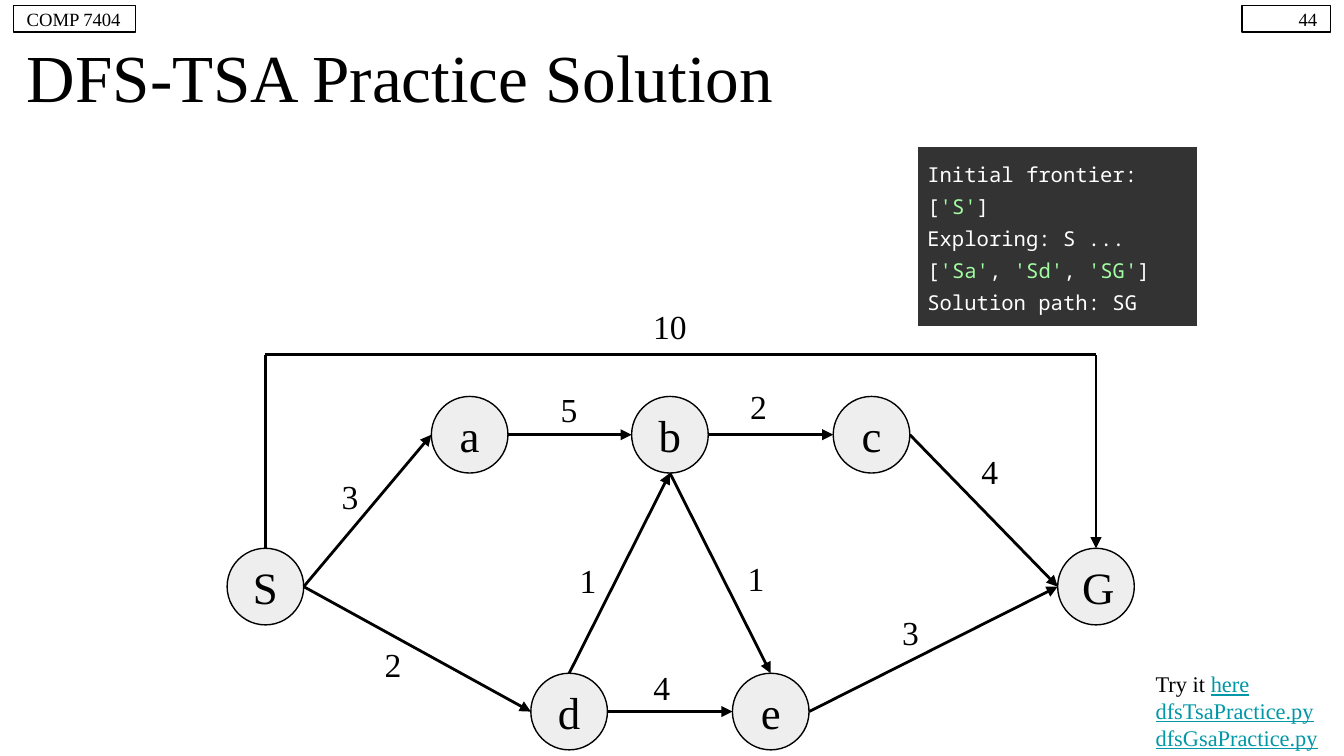
from dataclasses import dataclass
from enum import Enum
from itertools import pairwise

from lxml.etree import SubElement
from pptx import Presentation
from pptx.dml.color import RGBColor
from pptx.enum.shapes import MSO_CONNECTOR, MSO_SHAPE
from pptx.enum.text import MSO_ANCHOR, MSO_AUTO_SIZE, PP_ALIGN
from pptx.oxml.ns import qn
from pptx.util import Inches, Pt


@dataclass(frozen=True)
class Theme:
    serif: str = "Times New Roman"
    mono: str = "Noto Sans Mono"
    ink: str = "000000"
    node: str = "EEEEEE"
    link: str = "0097A7"
    console: str = "333333"
    console_text: str = "FFFFFF"
    console_string: str = "A2FCA2"
    title_size: float = 36
    node_size: float = 24
    weight_size: float = 18
    link_size: float = 12
    console_size: float = 11
    header_size: float = 10
    outline: float = 0.75
    edge: float = 1.5


class Side(Enum):
    TOP = (0.5, 0)
    LEFT = (0, 0.5)
    BOTTOM = (0.5, 1)
    RIGHT = (1, 0.5)


@dataclass(frozen=True)
class Node:
    name: str
    left: float
    top: float

    def port(self, side: Side) -> tuple[float, float]:
        """Return the point in the middle of one side."""
        across, down = side.value
        return self.left + across * DIAMETER, self.top + down * DIAMETER


@dataclass(frozen=True)
class Edge:
    start: str
    start_side: Side
    end: str
    end_side: Side
    weight: str
    label_left: float
    label_top: float
    bends: tuple = ()


THEME = Theme()
DIAMETER = 0.57
UPPER, MIDDLE, LOWER = 2.95, 4.08, 5.01
DETOUR = 2.64

NODES = {node.name: node for node in (
    Node("S", 1.69, MIDDLE), Node("G", 7.87, MIDDLE),
    Node("a", 3.21, UPPER), Node("b", 4.7, UPPER), Node("c", 6.2, UPPER),
    Node("d", 3.95, LOWER), Node("e", 5.45, LOWER),
)}

EDGES = (
    Edge("S", Side.RIGHT, "a", Side.LEFT, "3", 2.32, 3.41),
    Edge("S", Side.RIGHT, "d", Side.LEFT, "2", 2.64, 4.66),
    Edge("S", Side.TOP, "G", Side.TOP, "10", 4.7, 2.14,
         tuple((NODES[name].port(Side.TOP)[0], DETOUR) for name in "SG")),
    Edge("a", Side.RIGHT, "b", Side.LEFT, "5", 3.95, 2.76),
    Edge("b", Side.RIGHT, "c", Side.LEFT, "2", 5.36, 2.74),
    Edge("c", Side.RIGHT, "G", Side.LEFT, "4", 7.08, 3.22),
    Edge("d", Side.TOP, "b", Side.BOTTOM, "1", 4.09, 4.03),
    Edge("b", Side.BOTTOM, "e", Side.TOP, "1", 5.34, 4.02),
    Edge("d", Side.RIGHT, "e", Side.LEFT, "4", 4.64, 4.83),
    Edge("e", Side.RIGHT, "G", Side.LEFT, "3", 6.49, 4.42),
)

CONSOLE_OUTPUT = """Initial frontier: ['S']
Exploring: S ...
['Sa', 'Sd', 'SG']
Solution path: SG"""


def rgb(color: str) -> RGBColor:
    """Turn a hex string into a colour."""
    return RGBColor.from_string(color)


def write(paragraph, text: str, *, size: float, color: str = THEME.ink,
          font: str = THEME.serif, underline: bool = False, align=PP_ALIGN.LEFT) -> None:
    """Append formatted text to a paragraph, with a line break at each newline."""
    paragraph.alignment = align
    for index, line in enumerate(text.split("\n")):
        if index:
            paragraph.add_line_break()
            SubElement(paragraph._p[-1], qn("a:rPr"), sz=str(int(size * 100)))
        if line:
            run = paragraph.add_run()
            run.text = line
            run.font.size = Pt(size)
            run.font.name = font
            run.font.underline = underline or None
            run.font.color.rgb = rgb(color)


def set_frame(shape):
    """Give a shape's text even insets and middle anchoring, and return its frame."""
    frame = shape.text_frame
    frame.word_wrap = True
    frame.auto_size = MSO_AUTO_SIZE.NONE
    frame.vertical_anchor = MSO_ANCHOR.MIDDLE
    frame.margin_left = frame.margin_right = Inches(0.1)
    frame.margin_top = frame.margin_bottom = Inches(0.1)
    return frame


def add_text(slide, left: float, top: float, width: float, height: float):
    """Add an empty text box and return its frame."""
    return set_frame(slide.shapes.add_textbox(
        Inches(left), Inches(top), Inches(width), Inches(height)))


def add_outlined(slide, kind, left: float, top: float, width: float, height: float,
                 text: str, *, size: float, align, fill: str | None = None) -> None:
    """Draw an outlined shape with one line of text."""
    shape = slide.shapes.add_shape(
        kind, Inches(left), Inches(top), Inches(width), Inches(height))
    shape.shadow.inherit = False
    if fill:
        shape.fill.solid()
        shape.fill.fore_color.rgb = rgb(fill)
    else:
        shape.fill.background()
    shape.line.color.rgb = rgb(THEME.ink)
    shape.line.width = Pt(THEME.outline)
    write(set_frame(shape).paragraphs[0], text, size=size, align=align)


def add_edge(slide, edge: Edge) -> None:
    """Draw an edge through its bends, with an arrowhead and a weight."""
    route = (NODES[edge.start].port(edge.start_side), *edge.bends,
             NODES[edge.end].port(edge.end_side))
    for begin, end in pairwise(route):
        segment = slide.shapes.add_connector(
            MSO_CONNECTOR.STRAIGHT, *map(Inches, begin + end))
        segment.line.color.rgb = rgb(THEME.ink)
        segment.line.width = Pt(THEME.edge)
        if end == route[-1]:
            SubElement(segment.line._get_or_add_ln(), qn("a:tailEnd"), type="triangle")
        SubElement(segment._element.spPr, qn("a:effectLst"))
    label = add_text(slide, edge.label_left, edge.label_top, DIAMETER, DIAMETER)
    write(label.paragraphs[0], edge.weight, size=THEME.weight_size, align=PP_ALIGN.CENTER)


def add_console(slide, left: float, top: float, width: float, height: float) -> None:
    """Draw the program output as a dark one-cell table with coloured strings."""
    table = slide.shapes.add_table(
        1, 1, Inches(left), Inches(top), Inches(width), Inches(height)).table
    table.first_row = table.horz_banding = False
    cell = table.cell(0, 0)
    cell.margin_left = cell.margin_right = Inches(0.07)
    cell.margin_top = cell.margin_bottom = Inches(0.07)
    for border in ("a:lnL", "a:lnR", "a:lnT", "a:lnB"):
        SubElement(SubElement(cell._tc.get_or_add_tcPr(), qn(border)), qn("a:noFill"))
    cell.fill.solid()
    cell.fill.fore_color.rgb = rgb(THEME.console)
    output = cell.text_frame.paragraphs[0]
    output.line_spacing = 1.15
    for index, piece in enumerate(CONSOLE_OUTPUT.split("'")):
        quoted = index % 2 == 1
        write(output, f"'{piece}'" if quoted else piece,
              size=THEME.console_size, font=THEME.mono,
              color=THEME.console_string if quoted else THEME.console_text)


def main() -> None:
    """Build the slide and save it."""
    deck = Presentation()
    deck.slide_width = Inches(10)
    deck.slide_height = deck.slide_width * 9 // 16
    slide = deck.slides.add_slide(deck.slide_layouts[5])

    title = slide.shapes.title
    title.left, title.top = Inches(0.1), Inches(0.28)
    title.width, title.height = Inches(9.8), Inches(0.57)
    write(set_frame(title).paragraphs[0], "DFS-TSA Practice Solution", size=THEME.title_size)

    for left, width, text, align in ((9.24, 0.66, "44", PP_ALIGN.RIGHT),
                                     (0.1, 0.91, "COMP 7404", PP_ALIGN.LEFT)):
        add_outlined(slide, MSO_SHAPE.RECTANGLE, left, 0.04, width, 0.2, text,
                     size=THEME.header_size, align=align)
    for node in NODES.values():
        add_outlined(slide, MSO_SHAPE.OVAL, node.left, node.top, DIAMETER, DIAMETER, node.name,
                     size=THEME.node_size, align=PP_ALIGN.CENTER, fill=THEME.node)
    for edge in EDGES:
        add_edge(slide, edge)
    add_console(slide, 6.83, 1.09, 2.08, 0.97)

    links = add_text(slide, 8.5, 4.93, 1.51, 0.71)
    write(links.paragraphs[0], "Try it ", size=THEME.link_size)
    for index, name in enumerate(("here", "dfsTsaPractice.py", "dfsGsaPractice.py")):
        line = links.add_paragraph() if index else links.paragraphs[0]
        write(line, name, size=THEME.link_size, color=THEME.link, underline=True)
    deck.save("out.pptx")


if __name__ == "__main__":
    main()
